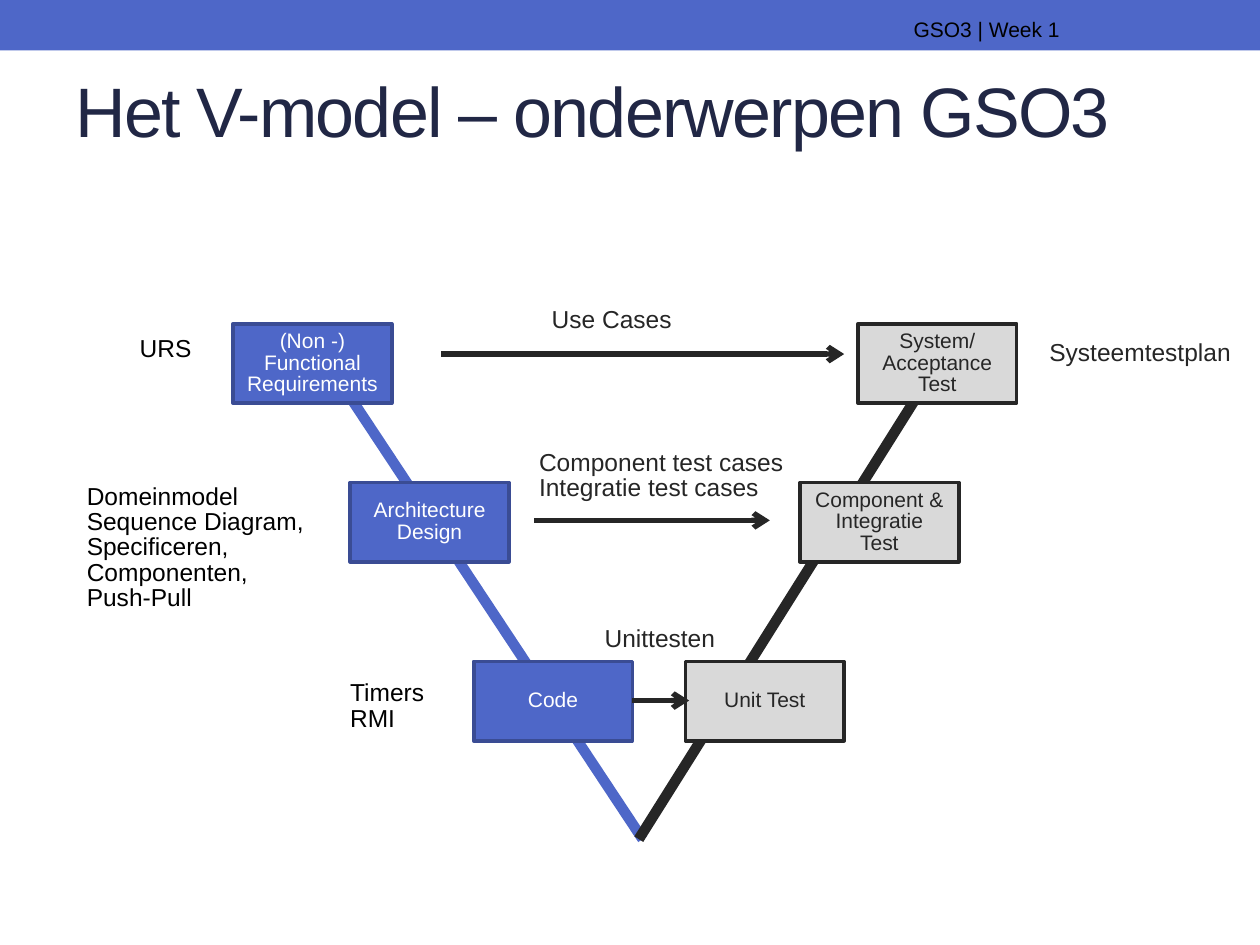
from dataclasses import dataclass

from lxml import etree
from pptx import Presentation
from pptx import util as u
from pptx.dml.color import RGBColor
from pptx.enum import shapes, text
from pptx.oxml import ns


@dataclass(frozen=True)
class Theme:
    """Colours, font and type sizes of the slide."""
    blue: str = "4E67C8"
    navy: str = "3A4C94"
    dark: str = "262626"
    grey: str = "D9D9D9"
    title: str = "212745"
    black: str = "000000"
    white: str = "FFFFFF"
    font: str = "Arial"
    title_size: int = 40
    label_size: int = 14
    small_size: int = 12
    spacing: float = 0.86


@dataclass(frozen=True)
class Step:
    """A box on one leg of the V."""
    left: float
    top: float
    words: str
    is_test: bool = False


@dataclass(frozen=True)
class Label:
    """Free text with its place and format."""
    left: float
    top: float
    width: float
    height: float
    words: str
    color: str
    size: int = 14
    wrap: bool = True
    grow: bool = True
    align: text.PP_ALIGN = text.PP_ALIGN.LEFT
    line_spacing: float = 0.86
    tracking: int = 0


@dataclass(frozen=True)
class Stroke:
    """A straight line, with or without an arrowhead."""
    x1: float
    y1: float
    x2: float
    y2: float
    color: str
    weight: float
    arrow: bool = False


T = Theme()
BOX_W, BOX_H = 1.26, 0.63
ROWS = (2.57, 3.83, 5.25)

LEGS = (
    Stroke(2.5, 2.73, 5.1, 6.66, T.blue, 6),
    Stroke(7.32, 3.08, 5.07, 6.66, T.dark, 6),
)
ARROWS = tuple(
    Stroke(x1, y, x2, y, T.dark, 3, True)
    for x1, x2, y in ((3.5, 6.7, 2.81), (4.24, 6.11, 4.13), (5.02, 5.47, 5.56))
)
STEPS = (
    Step(1.85, ROWS[0], "(Non -)\nFunctional Requirements"),
    Step(2.78, ROWS[1], "Architecture Design"),
    Step(3.76, ROWS[2], "Code"),
    Step(6.81, ROWS[0], "System/ Acceptance Test", True),
    Step(6.35, ROWS[1], "Component & Integratie\vTest", True),
    Step(5.44, ROWS[2], "Unit Test", True),
)
LABELS = (
    Label(0.5, 0.58, 9, 1.08, "Het V-model – onderwerpen GSO3", T.title,
          T.title_size, grow=False, tracking=-100),
    Label(0.5, 0.08, 8.01, 0.25, "GSO3 | Week 1", T.black, T.small_size,
          grow=False, align=text.PP_ALIGN.RIGHT, line_spacing=1.0),
    Label(1.01, 2.63, 0.87, 0.3, "URS", T.black),
    Label(8.23, 2.66, 1.81, 0.31, "Systeemtestplan", T.dark),
    Label(0.59, 3.8, 2.21, 1.32,
          "Domeinmodel\nSequence Diagram, Specificeren,\nComponenten,\nPush-Pull",
          T.black),
    Label(2.68, 5.36, 0.79, 0.51, "Timers\nRMI", T.black, wrap=False),
    Label(4.7, 4.93, 1.09, 0.31, "Unittesten", T.dark, wrap=False),
    Label(4.18, 3.53, 2.33, 0.51,
          "Component test cases\nIntegratie test cases", T.dark),
    Label(4.28, 2.4, 1.16, 0.3, "Use Cases", T.dark, wrap=False),
)


def set_all(target: object, values: dict) -> None:
    """Set every attribute named in values."""
    for name, value in values.items():
        setattr(target, name, value)


def write(tf, words: str, color: str, size: int, align, spacing: float,
          tracking: int = 0) -> None:
    """Fill a text frame and format its paragraphs and runs."""
    tf.text = words
    for p in tf.paragraphs:
        set_all(p, {"alignment": align, "line_spacing": spacing})
        for r in p.runs:
            set_all(r.font, {"name": T.font, "size": u.Pt(size)})
            r.font.color.rgb = RGBColor.from_string(color)
            if tracking:
                r.font._element.set("spc", str(tracking))


def add_rect(s, left: float, top: float, width: float, height: float,
             fill: str, line: str = ""):
    """Add a flat rectangle; without a line colour it has no outline."""
    sp = s.shapes.add_shape(shapes.MSO_SHAPE.RECTANGLE, u.Inches(left),
                            u.Inches(top), u.Inches(width), u.Inches(height))
    sp.shadow.inherit = False
    sp.fill.solid()
    sp.fill.fore_color.rgb = RGBColor.from_string(fill)
    if line:
        sp.line.color.rgb = RGBColor.from_string(line)
        sp.line.width = u.Pt(2.08)
    else:
        sp.line.fill.background()
    return sp


def add_step(s, step: Step) -> None:
    """Add one box of the V."""
    fill, line, color = ((T.grey, T.dark, T.dark) if step.is_test
                         else (T.blue, T.navy, T.white))
    sp = add_rect(s, step.left, step.top, BOX_W, BOX_H, fill, line)
    tf = sp.text_frame
    set_all(tf, {"word_wrap": True, "vertical_anchor": text.MSO_ANCHOR.MIDDLE})
    write(tf, step.words, color, T.small_size, text.PP_ALIGN.CENTER, T.spacing)


def add_label(s, label: Label) -> None:
    """Add one text box."""
    sp = s.shapes.add_textbox(u.Inches(label.left), u.Inches(label.top),
                              u.Inches(label.width), u.Inches(label.height))
    tf = sp.text_frame
    fit = text.MSO_AUTO_SIZE
    set_all(tf, {"word_wrap": label.wrap,
                 "auto_size": fit.SHAPE_TO_FIT_TEXT if label.grow else fit.NONE})
    write(tf, label.words, label.color, label.size, label.align,
          label.line_spacing, label.tracking)


def add_stroke(s, stroke: Stroke) -> None:
    """Add one shadowless line."""
    c = s.shapes.add_connector(
        shapes.MSO_CONNECTOR.STRAIGHT, u.Inches(stroke.x1), u.Inches(stroke.y1),
        u.Inches(stroke.x2), u.Inches(stroke.y2))
    c.line.color.rgb = RGBColor.from_string(stroke.color)
    c.line.width = u.Pt(stroke.weight)
    if stroke.arrow:
        etree.SubElement(c.line._get_or_add_ln(), ns.qn("a:tailEnd"), type="arrow")
    etree.SubElement(c._element.spPr, ns.qn("a:effectLst"))


def main() -> None:
    """Build and save the slide."""
    prs = Presentation()
    set_all(prs, {"slide_width": u.Inches(10), "slide_height": u.Inches(7.5)})
    s = prs.slides.add_slide(prs.slide_layouts[6])
    add_rect(s, 0, 0, 10, 0.4, T.blue)
    for items, draw in ((LEGS, add_stroke), (STEPS, add_step),
                        (ARROWS, add_stroke), (LABELS, add_label)):
        for item in items:
            draw(s, item)
    prs.save("out.pptx")


main()
